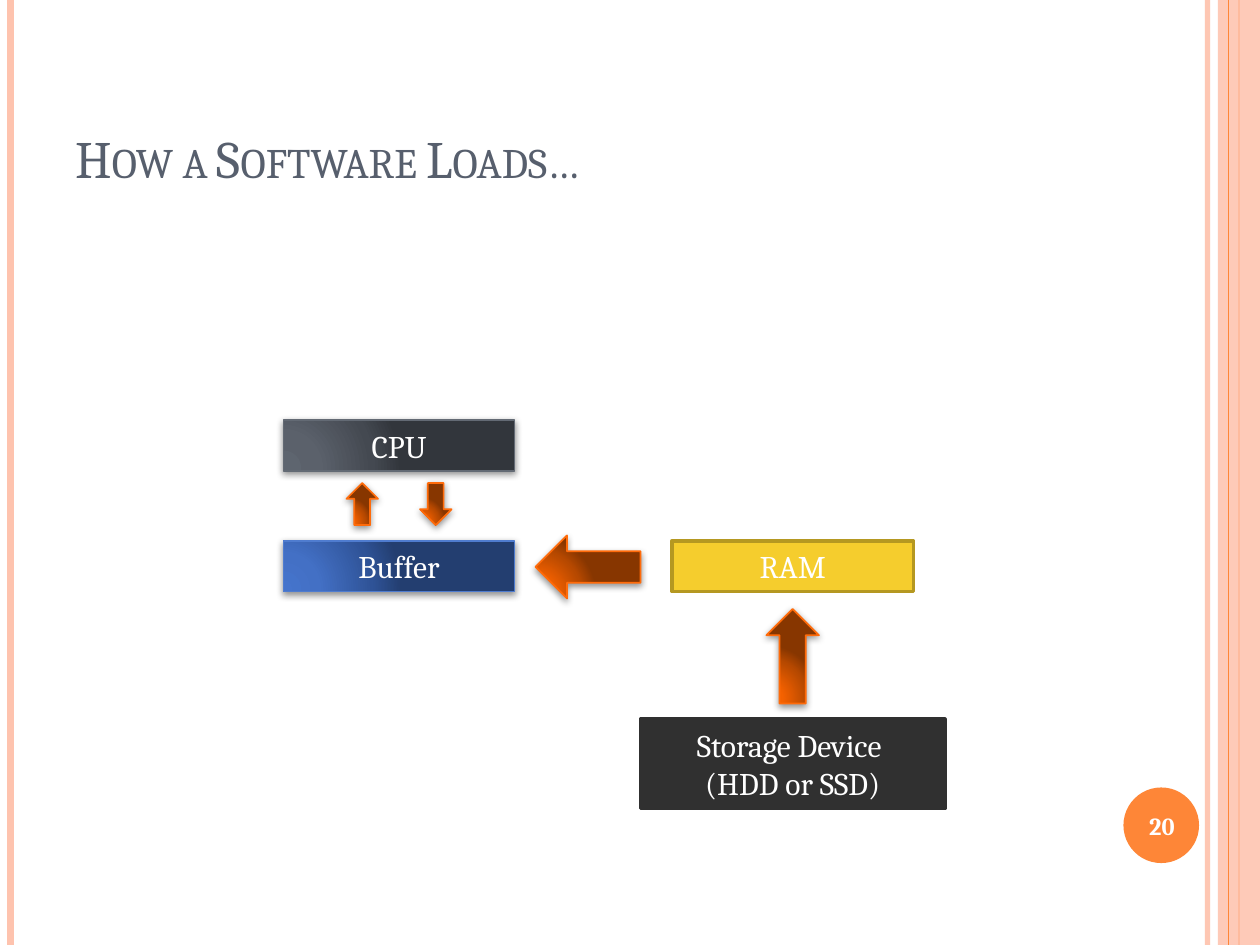
from lxml import etree
from pptx import Presentation
from pptx.dml.color import RGBColor
from pptx.enum import shapes, text
from pptx.oxml import ns
from pptx.util import Pt

COLORS = {
    "peach": "FEC3AE", "orange": "FE8637", "slate": "575F6D", "white": "FFFFFF",
    "charcoal": "303030", "yellow": "F5CD2D", "yellow_edge": "B59821",
    "blue_edge": "4F7CCF", "gray_edge": "636A74", "arrow_edge": "FF6B0A",
    "shadow": "000000",
}
GRADIENTS = {
    "blue": ("4574CC", "4370C5", "2F5397", "233E70"),
    "gray": ("5E656F", "5B616B", "444951", "32363C"),
    "arrow": ("FD6400", "F46100", "B74900", "873600"),
}
STOPS = (0, 30, 75, 100)
FONT = "Cambria"
WIDTH, HEIGHT = 720, 540
SHAPE = shapes.MSO_SHAPE


def rgb(name):
    return RGBColor.from_string(COLORS[name])


def add_child(parent, tag, **attributes):
    child = etree.SubElement(parent, ns.qn(tag))
    for key, value in attributes.items():
        child.set(key, str(value))
    return child


def add_color(parent, value, alpha=None):
    color = add_child(parent, "a:srgbClr", val=value)
    if alpha is not None:
        add_child(color, "a:alpha", val=alpha * 1000)


def set_alpha(element, alpha):
    """Make the solid colour inside a fill or line partly transparent."""
    add_child(element.find(".//" + ns.qn("a:srgbClr")), "a:alpha", val=alpha * 1000)


def add_stripe(slide, x, color, width, alpha=None):
    """Draw a full-height vertical line."""
    line = slide.shapes.add_connector(
        shapes.MSO_CONNECTOR.STRAIGHT, Pt(x), Pt(0), Pt(x), Pt(HEIGHT))
    line.line.color.rgb = rgb(color)
    line.line.width = Pt(width)
    properties = line.element.spPr
    if alpha is not None:
        set_alpha(properties, alpha)
    add_child(properties, "a:effectLst")


def add_plain_shape(slide, kind, box, fill, edge=None, edge_width=1):
    shape = slide.shapes.add_shape(kind, *map(Pt, box))
    shape.shadow.inherit = False
    shape.fill.solid()
    shape.fill.fore_color.rgb = rgb(fill)
    if edge:
        shape.line.color.rgb = rgb(edge)
        shape.line.width = Pt(edge_width)
    else:
        shape.line.fill.background()
    return shape


def add_glossy_shape(slide, kind, box, gradient, edge):
    """Add a shape with a radial gradient and a soft shadow below it."""
    shape = add_plain_shape(slide, kind, box, edge, edge)
    properties = shape.element.spPr
    solid = properties.find(ns.qn("a:solidFill"))
    fill = etree.Element(ns.qn("a:gradFill"), rotWithShape="1")
    stops = add_child(fill, "a:gsLst")
    for position, value in zip(STOPS, GRADIENTS[gradient]):
        add_color(add_child(stops, "a:gs", pos=position * 1000), value)
    path = add_child(fill, "a:path", path="circle")
    add_child(path, "a:fillToRect", l=5000, t=100000, r=120000, b=10000)
    properties.replace(solid, fill)

    effects = properties.find(ns.qn("a:effectLst"))
    shadow = add_child(effects, "a:outerShdw", blurRad=Pt(4), dist=Pt(1.6),
                       dir=5400000, rotWithShape=0)
    add_color(shadow, COLORS["shadow"], 42)
    return shape


def write(shape, lines, size, color="white", bold=False,
          align=text.PP_ALIGN.CENTER, anchor=text.MSO_ANCHOR.MIDDLE):
    frame = shape.text_frame
    frame.word_wrap = True
    frame.vertical_anchor = anchor
    runs = []
    for index, line in enumerate(lines):
        paragraph = frame.add_paragraph() if index else frame.paragraphs[0]
        paragraph.alignment = align
        run = paragraph.add_run()
        run.text = line
        run.font.name = FONT
        run.font.size = Pt(size)
        run.font.bold = bold
        run.font.color.rgb = rgb(color)
        runs.append(run)
    return runs


def add_decoration(slide):
    add_stripe(slide, 690, "peach", 3, 93)
    add_stripe(slide, 6, "peach", 4.5)
    add_stripe(slide, 708, "orange", 1.5)
    band = add_plain_shape(slide, SHAPE.RECTANGLE, (696, 0, WIDTH - 696, HEIGHT), "peach")
    set_alpha(band.element.spPr, 87)
    add_stripe(slide, 702, "orange", 0.75)
    add_plain_shape(slide, SHAPE.OVAL, (642, 450, 43.2, 43.2), "orange")


def add_title(slide):
    title = slide.shapes.add_textbox(Pt(36), Pt(21.6), Pt(588), Pt(90))
    run, = write(title, ["How a Software Loads…"], 30, "slate",
                 align=text.PP_ALIGN.LEFT, anchor=text.MSO_ANCHOR.BOTTOM)
    run.font._element.set("cap", "small")


def add_page_number(slide):
    number = slide.shapes.add_textbox(Pt(640), Pt(451.2), Pt(48), Pt(41))
    write(number, ["20"], 14, bold=True)


def add_diagram(slide):
    storage = add_plain_shape(slide, SHAPE.RECTANGLE, (366, 411, 174, 51),
                              "charcoal", "charcoal", 2)
    write(storage, ["Storage Device ", "(HDD or SSD)"], 18)
    ram = add_plain_shape(slide, SHAPE.RECTANGLE, (384, 309, 138, 29),
                          "yellow", "yellow_edge", 2)
    write(ram, ["RAM"], 18)

    for label, top, gradient in (("Buffer", 309, "blue"), ("CPU", 240, "gray")):
        box = add_glossy_shape(slide, SHAPE.RECTANGLE, (162, top, 132, 29),
                               gradient, gradient + "_edge")
        write(box, [label], 18)

    for kind, box in (
        (SHAPE.UP_ARROW, (438, 348, 30, 54)),
        (SHAPE.LEFT_ARROW, (306, 306, 60, 36)),
        (SHAPE.UP_ARROW, (198, 276, 18, 24)),
        (SHAPE.DOWN_ARROW, (240, 276, 18, 24)),
    ):
        add_glossy_shape(slide, kind, box, "arrow", "arrow_edge")


def main():
    presentation = Presentation()
    presentation.slide_width = Pt(WIDTH)
    presentation.slide_height = Pt(HEIGHT)
    slide = presentation.slides.add_slide(presentation.slide_layouts[6])
    add_decoration(slide)
    add_title(slide)
    add_page_number(slide)
    add_diagram(slide)
    presentation.save("out.pptx")


if __name__ == "__main__":
    main()
